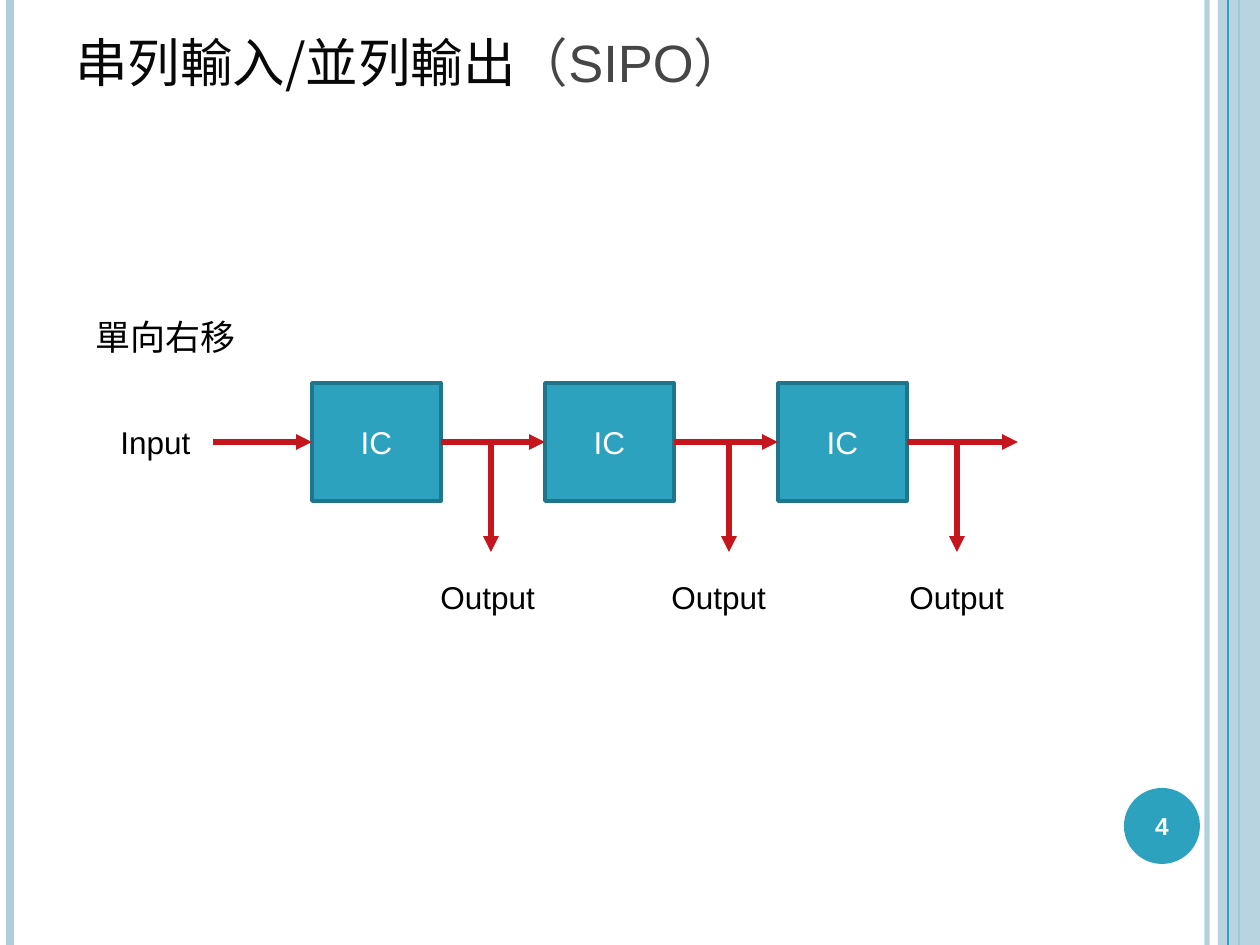
from lxml import etree
from pptx import Presentation
from pptx import util as u
from pptx.dml.color import RGBColor
from pptx.enum import shapes, text
from pptx.oxml import ns

PX = u.Inches(1) / 126
WIDTH, HEIGHT = 1260, 945
LATIN, CJK = "Arial", "Noto Sans CJK SC"
TEAL, PALE, RED = "2DA2BF", "ADCEDC", "C5161E"
BLACK, WHITE = "000000", "FFFFFF"


def px(*lengths):
    return [u.Emu(round(length * PX)) for length in lengths]


def color(hex_code):
    return RGBColor.from_string(hex_code)


def set_alpha(element, percent):
    rgb = element.find(".//" + ns.qn("a:srgbClr"))
    etree.SubElement(rgb, ns.qn("a:alpha"), val=str(percent * 1000))


def add_line(slide, start, end, hex_code, points, arrow=False, alpha=None):
    line = slide.shapes.add_connector(
        shapes.MSO_CONNECTOR.STRAIGHT, *px(*start, *end))
    line.line.color.rgb = color(hex_code)
    line.line.width = u.Pt(points)
    properties = line.line._get_or_add_ln()
    if alpha:
        set_alpha(properties, alpha)
    if arrow:
        etree.SubElement(properties, ns.qn("a:tailEnd"), type="triangle")
    etree.SubElement(line._element.spPr, ns.qn("a:effectLst"))
    return line


def add_block(slide, kind, box, fill, border=None, alpha=None):
    block = slide.shapes.add_shape(kind, *px(*box))
    block.shadow.inherit = False
    block.fill.solid()
    block.fill.fore_color.rgb = color(fill)
    if alpha:
        set_alpha(block._element.spPr, alpha)
    if border:
        block.line.color.rgb = color(border)
        block.line.width = u.Pt(2)
    else:
        block.line.fill.background()
    return block


def write(shape, runs, size, anchor=text.MSO_ANCHOR.TOP,
          align=text.PP_ALIGN.LEFT, wrap=True, bold=False):
    """Fill a shape with one paragraph of (words, font, colour) runs."""
    frame = shape.text_frame
    frame.word_wrap = wrap
    frame.vertical_anchor = anchor
    paragraph = frame.paragraphs[0]
    paragraph.alignment = align
    for words, font, hex_code in runs:
        run = paragraph.add_run()
        run.text = words
        run.font.size = u.Pt(size)
        run.font.name = font
        run.font.bold = bold
        run.font.color.rgb = color(hex_code)
        etree.SubElement(run.font._element, ns.qn("a:ea"), typeface=CJK)
    return paragraph


def add_text(slide, box, runs, size, **options):
    return write(slide.shapes.add_textbox(*px(*box)), runs, size, **options)


def add_label(slide, box, words):
    add_text(slide, box, [(words, LATIN, BLACK)], 18, wrap=False)


def add_side_bands(slide, height):
    def rule(x, hex_code, points, alpha=None):
        add_line(slide, (x, 0), (x, height), hex_code, points, alpha=alpha)

    rule(1207, PALE, 3, alpha=93)
    rule(10, PALE, 4.5)
    rule(1239, TEAL, 1.5)
    add_block(slide, shapes.MSO_SHAPE.RECTANGLE,
              (1218, 0, 42, height), PALE, alpha=87)
    rule(1228, TEAL, 0.75)


def add_page_number(slide, box, number):
    left, top, size = box
    add_block(slide, shapes.MSO_SHAPE.OVAL, (left, top, size, size), TEAL)
    add_text(slide, (left - 4, top + 2, size + 8, size - 4),
             [(number, LATIN, WHITE)], 14, bold=True,
             anchor=text.MSO_ANCHOR.MIDDLE, align=text.PP_ALIGN.CENTER)


def add_title(slide, box):
    title = add_text(slide, box, [("串列輸入/並列輸出", CJK, "080808"),
                                  ("（SIPO）", LATIN, "464646")],
                     30, anchor=text.MSO_ANCHOR.BOTTOM)
    title.line_spacing = 0.8


def add_shift_register(slide, left, top):
    """Chain of ICs shifting right, with one output tapped after each."""
    heading = add_text(slide, (left, top, 190, 59),
                       [("單向右移", CJK, BLACK)], 20)
    heading.space_before = u.Pt(6)

    # ICs
    width, height, pitch = 129, 118, 233
    first, ic_top = left + 229, top + 74
    middle = ic_top + height // 2
    ics = []
    for i in range(3):
        ic = add_block(slide, shapes.MSO_SHAPE.RECTANGLE,
                       (first + i * pitch, ic_top, width, height),
                       TEAL, "1E768C")
        write(ic, [("IC", LATIN, WHITE)], 18,
              anchor=text.MSO_ANCHOR.MIDDLE, align=text.PP_ALIGN.CENTER)
        ics.append(ic)

    # Serial path from the input through every IC
    add_label(slide, (left + 25, middle - 25, 95, 50), "Input")
    starts = [left + 130] + [first + i * pitch + width for i in range(3)]
    ends = [first + i * pitch for i in range(3)] + [left + 935]
    for start, end, source, target in zip(
            starts, ends, [None] + ics, ics + [None]):
        link = add_line(slide, (start, middle), (end, middle),
                        RED, 3, arrow=True)
        if source:
            link.begin_connect(source, 3)
        if target:
            link.end_connect(target, 1)

    # Parallel outputs
    for tap, label in ((408, 345), (646, 576), (874, 814)):
        add_line(slide, (left + tap, middle), (left + tap, middle + 110),
                 RED, 3, arrow=True)
        add_label(slide, (left + label, middle + 130, 120, 50), "Output")


def main():
    deck = Presentation()
    deck.slide_width, deck.slide_height = px(WIDTH, HEIGHT)
    slide = deck.slides.add_slide(deck.slide_layouts[6])
    add_side_bands(slide, HEIGHT)
    add_page_number(slide, (1124, 788, 76), "4")
    add_title(slide, (63, 25, 1029, 74))
    add_shift_register(slide, 83, 309)
    deck.save("out.pptx")


if __name__ == "__main__":
    main()
